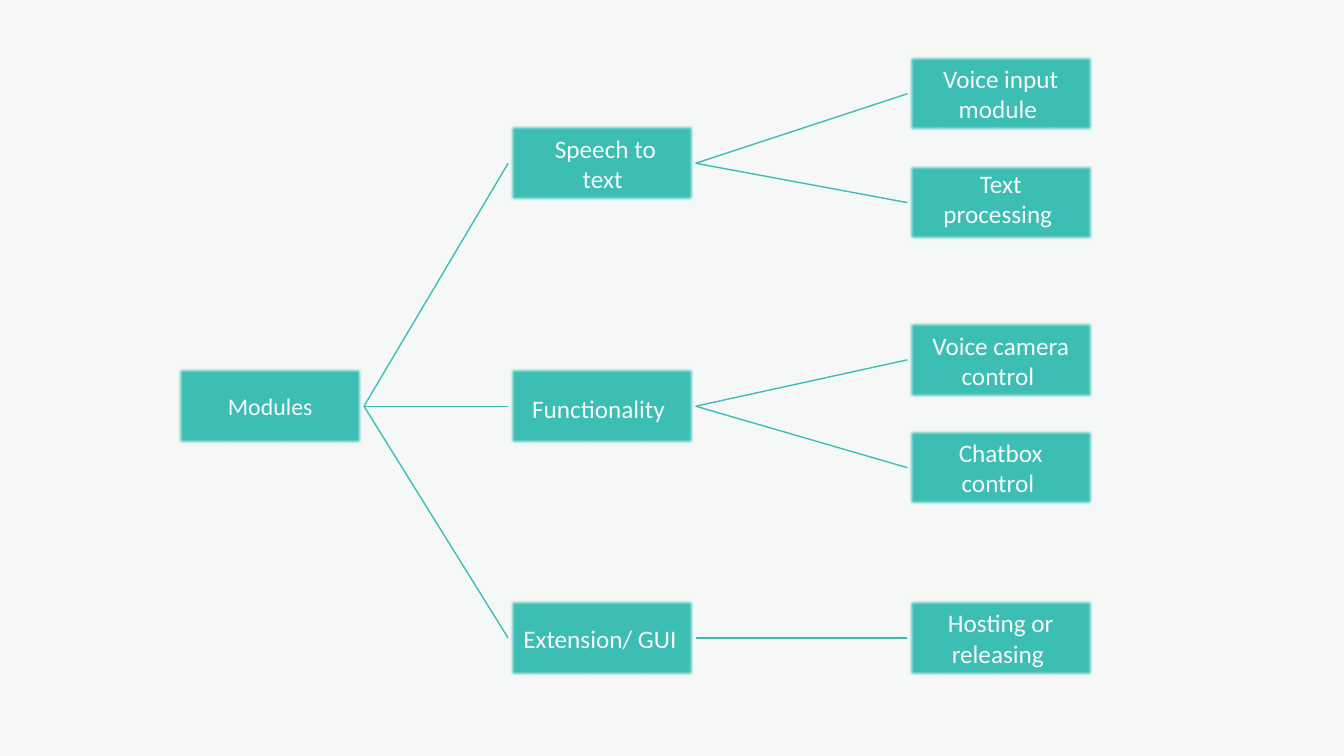
from dataclasses import dataclass

from lxml.etree import SubElement
from pptx import Presentation
from pptx.dml.color import RGBColor
from pptx.enum.shapes import MSO_CONNECTOR as Connector, MSO_SHAPE as Preset
from pptx.enum.text import MSO_AUTO_SIZE as AutoSize, PP_ALIGN as Align
from pptx.oxml.ns import qn
from pptx.shapes.autoshape import Shape
from pptx.slide import Slide
from pptx.util import Emu, Pt

EMU_PER_PX = 9144
SLIDE_WIDTH, SLIDE_HEIGHT = 1333, 750
BOX_WIDTH, BOX_HEIGHT = 186, 78
ROOT_LEFT, BRANCH_LEFT, LEAF_LEFT = 175, 504, 900
LEFT_SITE, RIGHT_SITE = 1, 3


@dataclass(frozen=True)
class Theme:
    background: RGBColor = RGBColor(0xF6, 0xF8, 0xF8)
    teal: RGBColor = RGBColor(0x3C, 0xBE, 0xB4)
    text: RGBColor = RGBColor(0xF6, 0xF8, 0xF8)
    font: str = "Calibri"
    root_size: int = 17
    label_size: int = 18
    line_width: int = 1
    soft_edge: float = 2.5


@dataclass(frozen=True)
class Label:
    text: str
    left: int
    top: int
    width: int
    height: int = 71


@dataclass(frozen=True)
class Node:
    left: int
    top: int
    label: Label
    children: tuple["Node", ...] = ()


THEME = Theme()


def leaf(text: str, top: int, label_top: int) -> Node:
    return Node(LEAF_LEFT, top, Label(text, 913, label_top, 159))


ROOT = Node(ROOT_LEFT, 364, Label("Modules", 187, 384, 162, 39), (
    Node(BRANCH_LEFT, 123, Label("Speech to text ", 532, 127, 137), (
        leaf("Voice input module ", 54, 58),
        leaf("Text processing ", 162, 162),
    )),
    Node(BRANCH_LEFT, 364, Label("Functionality ", 516, 385, 161, 40), (
        leaf("Voice camera control ", 318, 323),
        leaf("Chatbox control ", 425, 429),
    )),
    Node(BRANCH_LEFT, 594, Label("Extension/ GUI", 504, 613, 182, 40), (
        leaf("Hosting or releasing ", 594, 598),
    )),
))


def px(length: int) -> Emu:
    return Emu(length * EMU_PER_PX)


def add_box(slide: Slide, left: int, top: int) -> Shape:
    box = slide.shapes.add_shape(
        Preset.RECTANGLE, px(left), px(top), px(BOX_WIDTH), px(BOX_HEIGHT))
    box.fill.solid()
    box.fill.fore_color.rgb = THEME.teal
    box.line.fill.background()
    box.shadow.inherit = False
    effects = box.element.spPr.find(qn("a:effectLst"))
    SubElement(effects, qn("a:softEdge"), rad=str(Pt(THEME.soft_edge)))
    return box


def add_text(slide: Slide, text: str, *, left: int, top: int, width: int,
             height: int, size: int) -> None:
    shape = slide.shapes.add_textbox(px(left), px(top), px(width), px(height))
    frame = shape.text_frame
    frame.word_wrap = True
    frame.auto_size = AutoSize.SHAPE_TO_FIT_TEXT
    paragraph = frame.paragraphs[0]
    paragraph.alignment = Align.CENTER
    run = paragraph.add_run()
    run.text = text
    run.font.name = THEME.font
    run.font.size = Pt(size)
    run.font.color.rgb = THEME.text


def add_link(slide: Slide, parent: Shape, child: Shape) -> None:
    link = slide.shapes.add_connector(Connector.STRAIGHT, 0, 0, 0, 0)
    link.begin_connect(parent, RIGHT_SITE)
    link.end_connect(child, LEFT_SITE)
    link.line.color.rgb = THEME.teal
    link.line.width = Pt(THEME.line_width)
    SubElement(link.element.spPr, qn("a:effectLst"))


def add_tree(slide: Slide, node: Node) -> Shape:
    box = add_box(slide, node.left, node.top)
    label = node.label
    size = THEME.root_size if node is ROOT else THEME.label_size
    add_text(slide, label.text, left=label.left, top=label.top,
             width=label.width, height=label.height, size=size)
    for child in node.children:
        add_link(slide, box, add_tree(slide, child))
    return box


def main() -> None:
    presentation = Presentation()
    presentation.slide_width = px(SLIDE_WIDTH)
    presentation.slide_height = px(SLIDE_HEIGHT)
    slide = presentation.slides.add_slide(presentation.slide_layouts[6])
    slide.background.fill.solid()
    slide.background.fill.fore_color.rgb = THEME.background
    add_tree(slide, ROOT)
    presentation.save("out.pptx")


if __name__ == "__main__":
    main()
